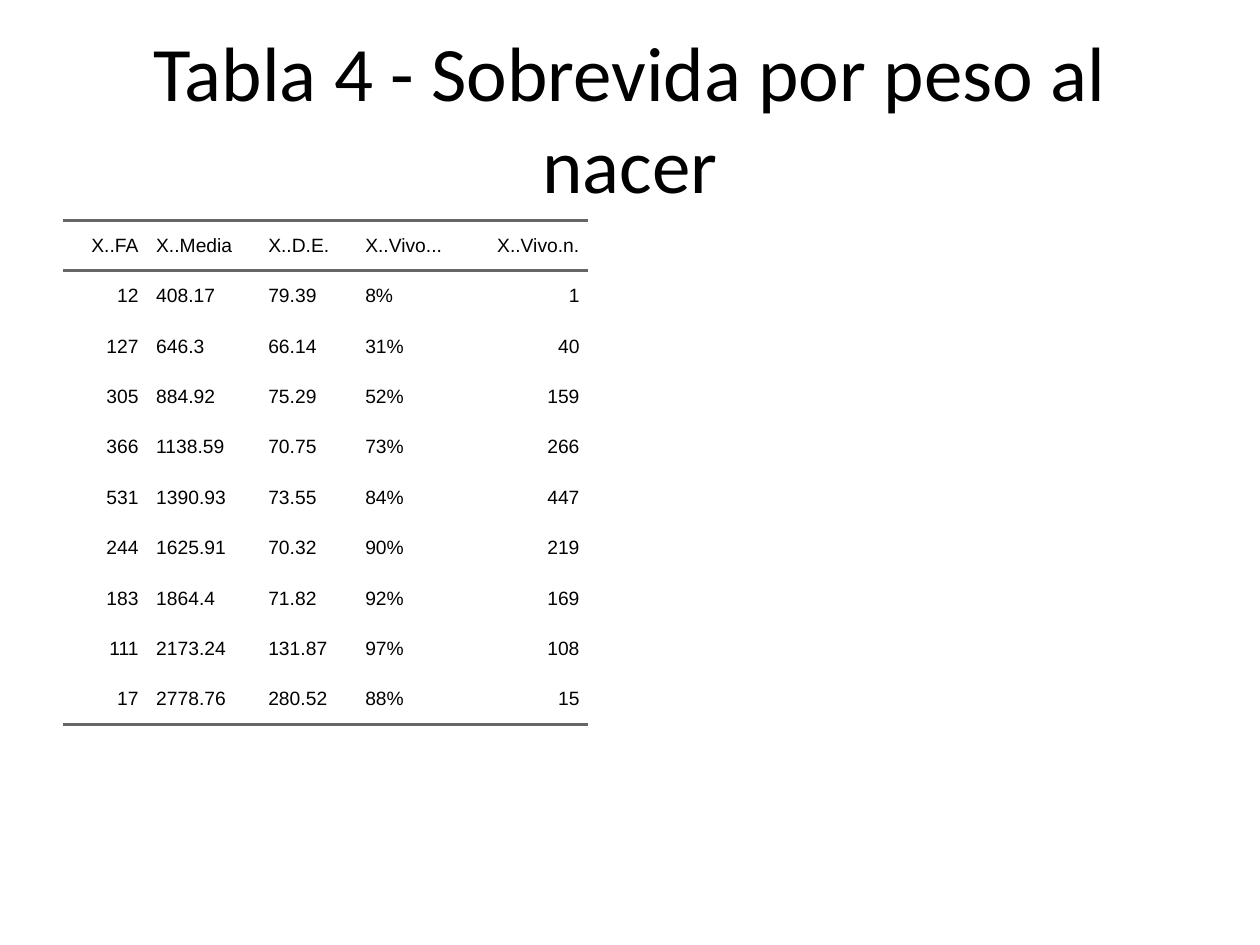
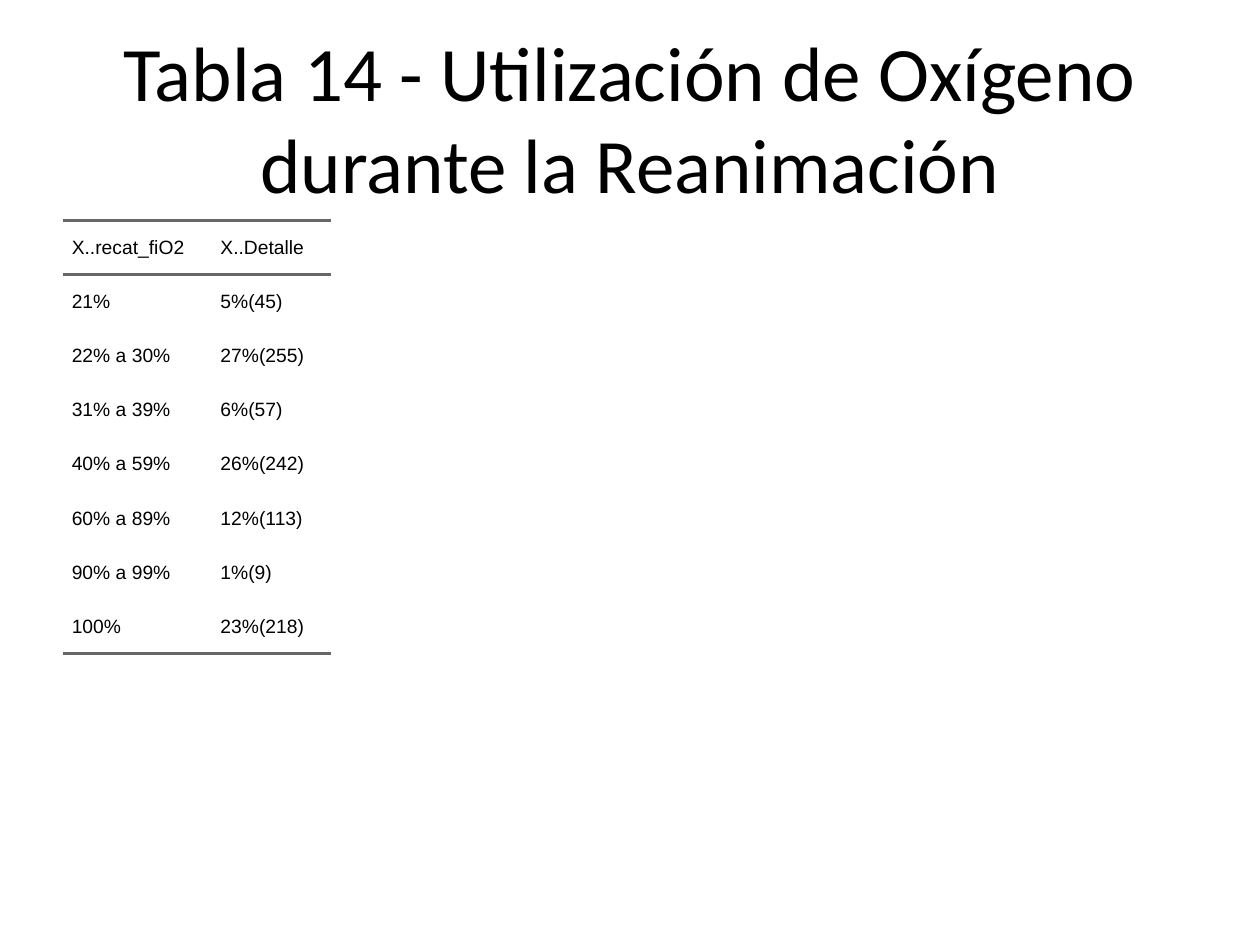
from lxml import etree
from pptx import Presentation
from pptx import util as u
from pptx.dml.color import RGBColor
from pptx.enum import text
from pptx.oxml import ns

COLORS = {"text": "000000", "rule": "666666"}
TITLE_FONT = {"name": "Calibri", "size": u.Pt(44)}
CELL_FONT = {"name": "Arial", "size": u.Pt(11)}
PADDING = u.Inches(0.07)
CELL_FORMAT = {
    "margin_left": PADDING,
    "margin_right": PADDING,
    "margin_top": 0,
    "margin_bottom": 0,
    "vertical_anchor": text.MSO_ANCHOR.MIDDLE,
}
ALIGN = {"l": text.PP_ALIGN.LEFT, "r": text.PP_ALIGN.RIGHT, "c": text.PP_ALIGN.CENTER}
PLAIN_TABLE_STYLE = "{2D5ABB26-0587-4C30-8999-92F81FD0307C}"

SURVIVAL = {
    "title": "Tabla 4 - Sobrevida por peso al nacer",
    "widths": [0.67, 0.89, 0.77, 0.9, 0.94],
    "aligns": "rlllr",
    "row_height": 0.4,
    "rows": [
        ["X..FA", "X..Media", "X..D.E.", "X..Vivo...", "X..Vivo.n."],
        ["12", "408.17", "79.39", "8%", "1"],
        ["127", "646.3", "66.14", "31%", "40"],
        ["305", "884.92", "75.29", "52%", "159"],
        ["366", "1138.59", "70.75", "73%", "266"],
        ["531", "1390.93", "73.55", "84%", "447"],
        ["244", "1625.91", "70.32", "90%", "219"],
        ["183", "1864.4", "71.82", "92%", "169"],
        ["111", "2173.24", "131.87", "97%", "108"],
        ["17", "2778.76", "280.52", "88%", "15"],
    ],
}
OXYGEN = {
    "title": "Tabla 14 - Utilización de Oxígeno durante la Reanimación",
    "widths": [1.18, 0.95],
    "aligns": "ll",
    "row_height": 0.43,
    "rows": [
        ["X..recat_fiO2", "X..Detalle"],
        ["21%", "5%(45)"],
        ["22% a 30%", "27%(255)"],
        ["31% a 39%", "6%(57)"],
        ["40% a 59%", "26%(242)"],
        ["60% a 89%", "12%(113)"],
        ["90% a 99%", "1%(9)"],
        ["100%", "23%(218)"],
    ],
}


def apply(target, values):
    for name, value in values.items():
        setattr(target, name, value)


def write(frame, words, align, font):
    paragraph = frame.paragraphs[0]
    paragraph.alignment = ALIGN[align]
    run = paragraph.add_run()
    run.text = words
    apply(run.font, font)
    run.font.color.rgb = RGBColor.from_string(COLORS["text"])


def add_title(slide, words):
    title = slide.shapes.add_textbox(*map(u.Inches, (0.5, 0.3, 9, 1.25))).text_frame
    apply(title, {"word_wrap": True, "vertical_anchor": text.MSO_ANCHOR.MIDDLE})
    write(title, words, "c", TITLE_FONT)


def add_rule(cell, side):
    rule = etree.SubElement(cell._tc.get_or_add_tcPr(), ns.qn(f"a:{side}"), w=str(u.Pt(2)))
    fill = etree.SubElement(rule, ns.qn("a:solidFill"))
    etree.SubElement(fill, ns.qn("a:srgbClr"), val=COLORS["rule"])


def add_data_table(slide, content):
    rows, widths = content["rows"], content["widths"]
    height = u.Inches(content["row_height"])
    table = slide.shapes.add_table(
        len(rows), len(widths), u.Inches(0.5), u.Inches(1.75),
        u.Inches(sum(widths)), height * len(rows),
    ).table
    apply(table, {"first_row": False, "horz_banding": False})
    table._tbl.tblPr.find(ns.qn("a:tableStyleId")).text = PLAIN_TABLE_STYLE
    for column, width in zip(table.columns, widths):
        column.width = u.Inches(width)
    for r, values in enumerate(rows):
        table.rows[r].height = height
        for c, (value, align) in enumerate(zip(values, content["aligns"])):
            cell = table.cell(r, c)
            apply(cell, CELL_FORMAT)
            write(cell.text_frame, value, align, CELL_FONT)
            if r == 0:
                add_rule(cell, "lnT")
            if r in (0, len(rows) - 1):
                add_rule(cell, "lnB")
            cell.fill.background()


def main():
    deck = Presentation()
    apply(deck, {"slide_width": u.Inches(10), "slide_height": u.Inches(7.5)})
    for content in (SURVIVAL, OXYGEN):
        slide = deck.slides.add_slide(deck.slide_layouts[6])
        add_title(slide, content["title"])
        add_data_table(slide, content)
    deck.save("out.pptx")


if __name__ == "__main__":
    main()
